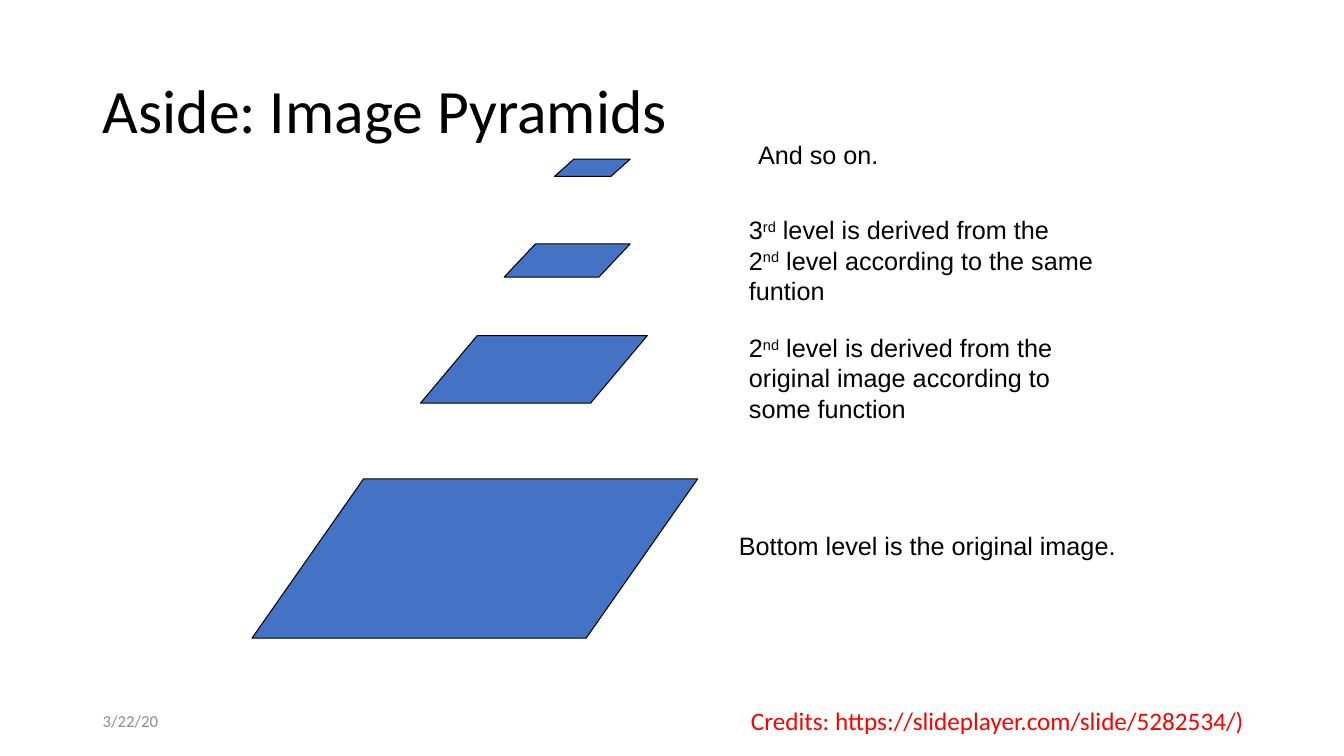
"""Build the slide on image pyramids: four levels, their captions and credits."""
import pptx
import pptx.util
import pptx.dml.color
import pptx.enum.shapes
import pptx.enum.text

Inches, Pt = pptx.util.Inches, pptx.util.Pt
Anchor = pptx.enum.text.MSO_ANCHOR


def paint(text):
    return pptx.dml.color.RGBColor.from_string(text)


def write(box, lines, face, size, tint):
    frame = box.text_frame
    for row, line in enumerate(lines):
        para = frame.add_paragraph() if row else frame.paragraphs[0]
        for part, words in enumerate(line.split("^")):
            run = para.add_run()
            run.text = words
            if part % 2:
                run.font._element.set("baseline", "30000")
        para.font.name = face
        para.font.size = Pt(size)
        para.font.color.rgb = paint(tint)


deck = pptx.Presentation()
deck.slide_width, deck.slide_height = Inches(13.33), Inches(7.5)
slide = deck.slides.add_slide(deck.slide_layouts[5])

title = slide.shapes.title
title.left, title.top = Inches(0.92), Inches(0.4)
title.width, title.height = Inches(11.5), Inches(1.45)
write(title, ["Aside: Image Pyramids"], "Calibri", 44, "000000")
title.text_frame.auto_size = pptx.enum.text.MSO_AUTO_SIZE.NONE
title.text_frame.vertical_anchor = Anchor.MIDDLE
head = title.text_frame.paragraphs[0]
head.alignment = pptx.enum.text.PP_ALIGN.LEFT
head.line_spacing = 0.9

levels = [
    (2.5, 4.75, 4.42, 1.58, 0.7),
    (4.17, 3.33, 2.25, 0.67, 0.84),
    (5, 2.42, 1.25, 0.33, 0.94),
    (5.5, 1.58, 0.75, 0.17, 1.12),
]
for left, top, width, height, slant in levels:
    level = slide.shapes.add_shape(
        pptx.enum.shapes.MSO_SHAPE.PARALLELOGRAM,
        Inches(left), Inches(top), Inches(width), Inches(height))
    level.adjustments[0] = slant
    level.shadow.inherit = False
    level.fill.solid()
    level.fill.fore_color.rgb = paint("4472C4")
    level.line.color.rgb = paint("000000")
    level.line.width = Pt(0.75)

notes = [
    (7.23, 5.21, 3.94, 0.4, ["Bottom level is the original image."],
     "Arial", 18, "000000"),
    (7.33, 3.25, 3.23, 1, ["2^nd^ level is derived from the",
                           "original image according to", "some function"],
     "Arial", 18, "000000"),
    (7.33, 2.08, 3.64, 1, ["3^rd^ level is derived from the",
                           "2^nd^ level according to the same", "funtion"],
     "Arial", 18, "000000"),
    (7.42, 1.33, 1.4, 0.4, ["And so on."], "Arial", 18, "000000"),
    (7.35, 6.95, 5.15, 0.4,
     ["Credits: https://slideplayer.com/slide/5282534/)"],
     "Calibri", 18, "FF0000"),
    (0.92, 6.95, 3, 0.4, ["3/22/20"], "Calibri", 12, "8C8C8C"),
]
for left, top, width, height, lines, face, size, tint in notes:
    note = slide.shapes.add_textbox(
        Inches(left), Inches(top), Inches(width), Inches(height))
    note.text_frame.word_wrap = size == 12
    note.text_frame.vertical_anchor = Anchor.MIDDLE if size == 12 else Anchor.TOP
    write(note, lines, face, size, tint)

deck.save("out.pptx")
